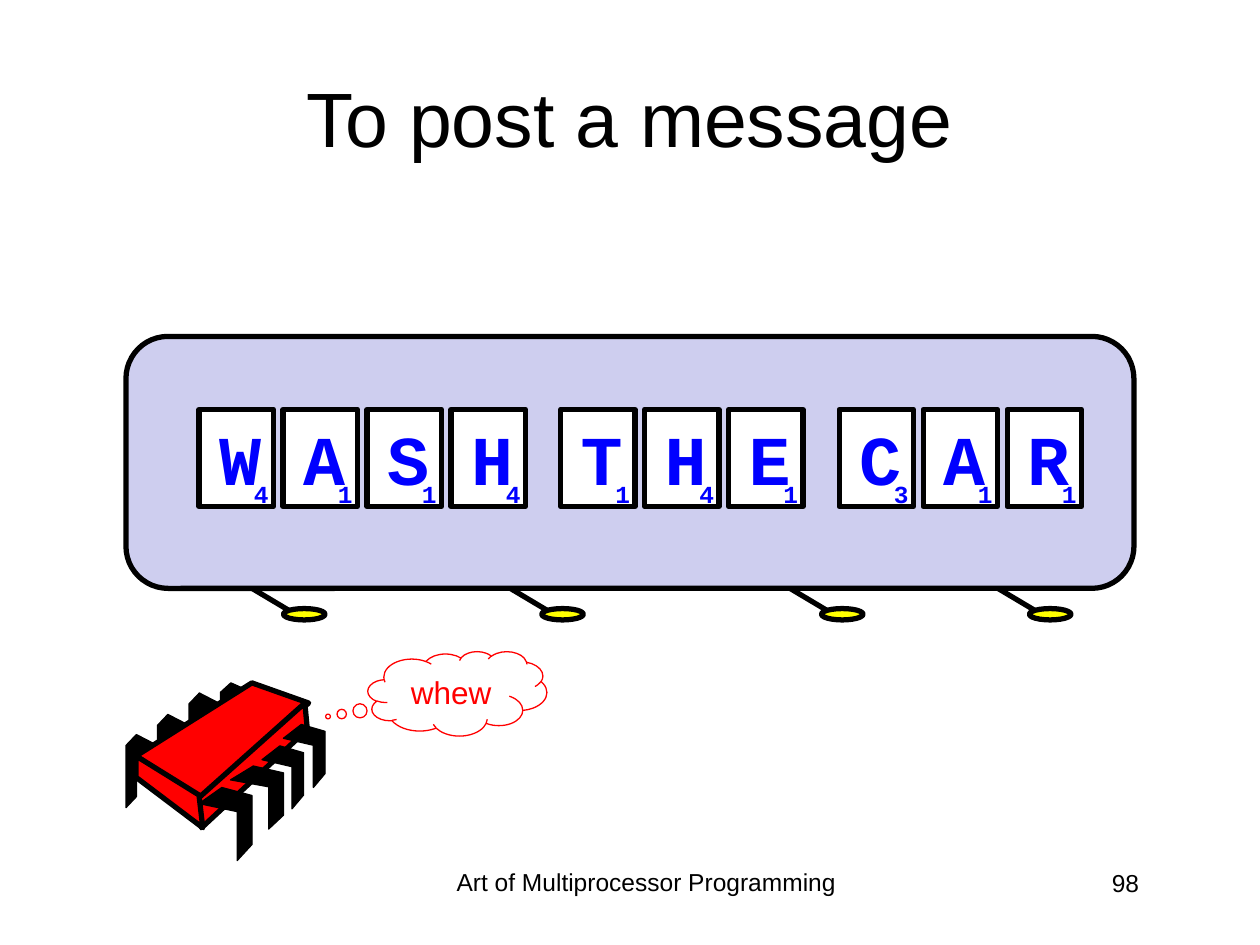
from lxml import etree
from pptx import Presentation
from pptx.dml.color import RGBColor
from pptx.enum import shapes, text
from pptx.oxml import ns
from pptx.util import Inches, Pt

# Content
TITLE = "To post a message"
FOOTER = "Art of Multiprocessor Programming"
PAGE = "98"
THOUGHT = "whew"
WORDS = [  # left edge, letters with their scores
    (1.58, [("W", 4), ("A", 1), ("S", 1), ("H", 4)]),
    (4.45, [("T", 1), ("H", 4), ("E", 1)]),
    (6.66, [("C", 3), ("A", 1), ("R", 1)]),
]
LAMPS = [2, 4.05, 6.27, 7.92]
PITCH = 2 / 3

# Chip: leg outlines as fractions of their boxes, body faces in inches
BACK = [(1, 0.15), (0.33, 0), (0, 0.15), (0, 1), (0.33, 0.85), (0.33, 0.29), (1, 0.43)]
FRONT = [(0.43, 0), (0, 0.22), (0.72, 0.33), (0.72, 1), (1, 0.78), (1, 0.11)]
BACK_LEGS = [(1, 5.83, 0.25, 0.58), (1.25, 5.67, 0.25, 0.58),
             (1.5, 5.5, 0.25, 0.58), (1.75, 5.42, 0.25, 0.5)]
FRONT_LEGS = [(1.58, 6.25, 0.42, 0.58), (1.83, 6.08, 0.42, 0.5),
              (2.08, 5.92, 0.33, 0.5), (2.25, 5.75, 0.33, 0.5)]
FACES = [
    [(2, 5.42), (1.08, 6), (1.6, 6.35), (2.45, 5.58)],
    [(2.42, 5.58), (1.58, 6.33), (1.6, 6.57), (2.44, 5.79)],
    [(1.08, 6), (1.08, 6.17), (1.61, 6.57), (1.58, 6.31)],
]

HUES = {"black": "000000", "white": "FFFFFF", "board": "CECEEF",
        "blue": "0000FF", "red": "FF0000", "lamp": "FFFF00"}
ALIGN = text.PP_ALIGN
KIND = shapes.MSO_SHAPE


def hue(name):
    return RGBColor.from_string(HUES[name])


def write(shape, words, size=14, color="black", font="Arial", bold=False,
          align=ALIGN.CENTER, anchor=text.MSO_ANCHOR.TOP, wrap=True):
    frame = shape.text_frame
    frame.word_wrap = wrap
    frame.auto_size = text.MSO_AUTO_SIZE.NONE
    frame.vertical_anchor = anchor
    par = frame.paragraphs[0]
    par.alignment = align
    run = par.add_run()
    run.text = words
    run.font.name, run.font.size, run.font.bold = font, Pt(size), bold
    run.font.color.rgb = hue(color)


def paint(shape, fill=None, line="black", width=3):
    shape.shadow.inherit = False
    if fill:
        shape.fill.solid()
        shape.fill.fore_color.rgb = hue(fill)
    else:
        shape.fill.background()
    shape.line.color.rgb = hue(line)
    shape.line.width = Pt(width)
    return shape


def form(tree, kind, box, **look):
    return paint(tree.add_shape(kind, *map(Inches, box)), **look)


def label(tree, box, words, **look):
    write(tree.add_textbox(*map(Inches, box)), words, **look)


def outline(tree, points, **look):
    spots = [(Inches(x), Inches(y)) for x, y in points]
    pen = tree.build_freeform(*spots[0], scale=1)
    pen.add_line_segments(spots[1:], close=True)
    paint(pen.convert_to_shape(), **look)


def legs(tree, boxes, plan):
    for x, y, w, h in boxes:
        points = [(x + w * a, y + h * b) for a, b in plan]
        outline(tree, points, fill="black", width=0.75)


def lamp(tree, x):
    arm = tree.add_connector(shapes.MSO_CONNECTOR.STRAIGHT, Inches(x), Inches(4.67),
                             Inches(x + 0.42), Inches(4.92))
    arm.line.color.rgb = hue("black")
    arm.line.width = Pt(3)
    etree.SubElement(arm._element.spPr, ns.qn("a:effectLst"))
    form(tree, KIND.OVAL, (x + 0.25, 4.83, 0.33, 0.09), fill="lamp")


def tile(tree, x, letter, score):
    look = dict(color="blue", font="Courier New", bold=True, align=ALIGN.RIGHT)
    card = form(tree, KIND.RECTANGLE, (x, 3.25, 0.59, 0.77), fill="white")
    write(card, letter, size=40, **look)
    label(tree, (x + 0.33, 3.75, 0.32, 0.33), str(score), wrap=False, **look)


def main():
    deck = Presentation()
    deck.slide_width, deck.slide_height = Inches(10), Inches(7.5)
    tree = deck.slides.add_slide(deck.slide_layouts[5]).shapes

    # Title
    head = tree.title
    head.left, head.top, head.width, head.height = map(Inches, (0.5, 0.3, 9, 1.25))
    write(head, TITLE, size=44, anchor=text.MSO_ANCHOR.MIDDLE)

    # Billboard with lamps and letter tiles
    board = form(tree, KIND.ROUNDED_RECTANGLE, (1, 2.67, 8, 2), fill="board")
    board.adjustments[0] = 0.167
    for x in LAMPS:
        lamp(tree, x)
    for left, cards in WORDS:
        for i, (letter, score) in enumerate(cards):
            tile(tree, left + i * PITCH, letter, score)

    # Chip
    legs(tree, BACK_LEGS, BACK)
    for face in FACES:
        outline(tree, face, fill="red")
    legs(tree, FRONT_LEGS, FRONT)

    # Thought
    cloud = form(tree, KIND.CLOUD_CALLOUT, (2.92, 5.17, 1.42, 0.67), line="red", width=0.75)
    cloud.adjustments[0], cloud.adjustments[1] = -0.723, 0.271
    write(cloud, THOUGHT, size=18, color="red", anchor=text.MSO_ANCHOR.MIDDLE)

    # Footer
    label(tree, (3.42, 6.83, 3.42, 0.52), FOOTER)
    label(tree, (7.06, 6.84, 2.08, 0.5), PAGE, align=ALIGN.RIGHT)

    deck.save("out.pptx")


if __name__ == "__main__":
    main()
